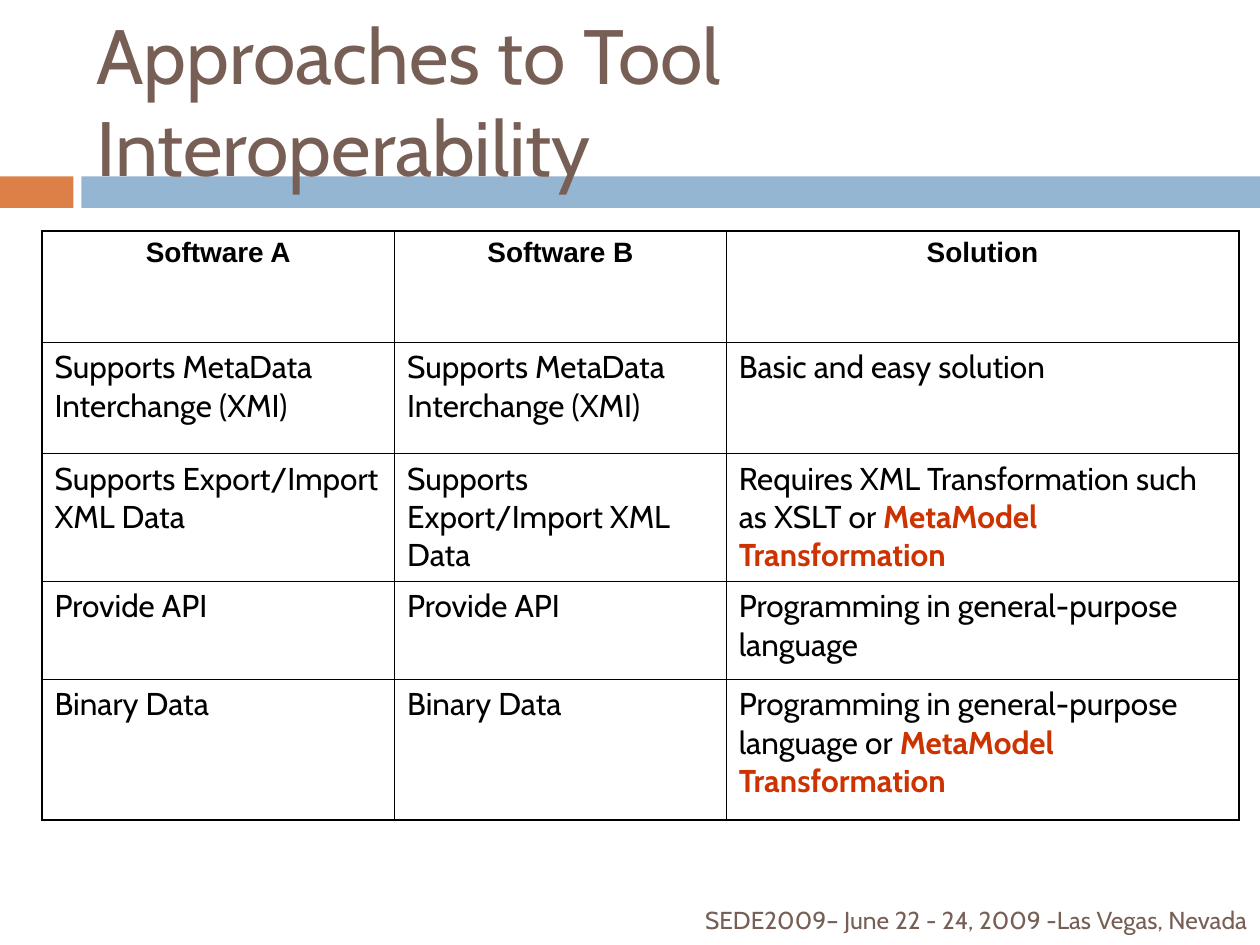
from dataclasses import dataclass

from lxml import etree
from pptx import Presentation, util as u
from pptx.dml import color
from pptx.enum import shapes, text
from pptx.oxml import ns

Pt = u.Pt


@dataclass(frozen=True)
class Theme:
    """Colours, fonts, type sizes and line widths of the slide."""
    orange: str = "DD8047"
    blue: str = "94B6D2"
    brown: str = "775F55"
    black: str = "000000"
    red: str = "CC3300"
    body_font: str = "Cabin"
    head_font: str = "Arial"
    title_size: float = 44
    body_size: float = 18
    head_size: float = 16
    footer_size: float = 14
    outer_line: float = 1.08
    inner_line: float = 0.45


THEME = Theme()
KEY = "MetaModel Transformation"
XMI = "Supports MetaData Interchange (XMI)"
XML_DATA = "Supports Export/Import XML Data"
GENERAL = "Programming in general-purpose language"
ROWS = [
    ["Software A", "Software B", "Solution"],
    [XMI, XMI, "Basic and easy solution"],
    [XML_DATA, XML_DATA, f"Requires XML Transformation such as XSLT or {KEY}"],
    ["Provide API", "Provide API", GENERAL],
    ["Binary Data", "Binary Data", f"{GENERAL} or {KEY}"],
]
COL_WIDTHS = [201.5, 189.5, 293]
ROW_HEIGHTS = [63.5, 63.5, 73, 56, 80.5]


def style_run(r, font, size, rgb, bold=False):
    """Set the font of one run."""
    r.font.name, r.font.size, r.font.bold = font, Pt(size), bold
    r.font.color.rgb = color.RGBColor.from_string(rgb)


def add_bar(s, left, width, rgb):
    """Add one piece of the band below the title."""
    sp = s.shapes.add_shape(shapes.MSO_SHAPE.RECTANGLE,
                            Pt(left), Pt(100.8), Pt(width), Pt(18))
    sp.shadow.inherit = False
    sp.fill.solid()
    sp.fill.fore_color.rgb = color.RGBColor.from_string(rgb)
    sp.line.fill.background()


def add_label(s, box, content, size, align):
    """Add a brown, vertically centred text box."""
    tf = s.shapes.add_textbox(*map(Pt, box)).text_frame
    tf.word_wrap = True
    tf.vertical_anchor = text.MSO_ANCHOR.MIDDLE
    tf.text = content
    p = tf.paragraphs[0]
    p.alignment = align
    style_run(p.runs[0], THEME.body_font, size, THEME.brown)


def set_borders(cell, widths):
    """Draw the left, right, top and bottom borders of a cell."""
    props = cell._tc.get_or_add_tcPr()
    for side, width in zip("LRTB", widths):
        ln = etree.SubElement(props, ns.qn(f"a:ln{side}"), w=str(Pt(width)))
        fill = etree.SubElement(ln, ns.qn("a:solidFill"))
        etree.SubElement(fill, ns.qn("a:srgbClr"), val=THEME.black)


def fill_cell(cell, content, is_head):
    """Write a cell, with its key phrase in bold red."""
    p = cell.text_frame.paragraphs[0]
    plain, key, _ = content.partition(KEY)
    p.text = plain
    if is_head:
        p.alignment = text.PP_ALIGN.CENTER
        style_run(p.runs[0], THEME.head_font, THEME.head_size, THEME.black, True)
        return
    style_run(p.runs[0], THEME.body_font, THEME.body_size, THEME.black)
    if key:
        r = p.add_run()
        r.text = key
        style_run(r, THEME.body_font, THEME.body_size, THEME.red, True)


def add_comparison(s, left, top):
    """Add the bordered table of approaches."""
    n_rows, n_cols = len(ROWS), len(COL_WIDTHS)
    table = s.shapes.add_table(n_rows, n_cols, Pt(left), Pt(top),
                               Pt(sum(COL_WIDTHS)), Pt(sum(ROW_HEIGHTS))).table
    table.first_row = table.horz_banding = False
    for col, width in zip(table.columns, COL_WIDTHS):
        col.width = Pt(width)
    for i, (height, values) in enumerate(zip(ROW_HEIGHTS, ROWS)):
        table.rows[i].height = Pt(height)
        for j, content in enumerate(values):
            cell = table.cell(i, j)
            edges = (j == 0, j == n_cols - 1, i == 0, i == n_rows - 1)
            set_borders(cell, [THEME.outer_line if edge else THEME.inner_line
                               for edge in edges])
            cell.fill.background()
            fill_cell(cell, content, i == 0)


def main():
    """Build and save the slide."""
    prs = Presentation()
    prs.slide_width, prs.slide_height = Pt(720), Pt(540)
    s = prs.slides.add_slide(prs.slide_layouts[6])
    add_bar(s, 0, 42, THEME.orange)
    add_bar(s, 46.5, 673.5, THEME.blue)
    add_label(s, (48, 18, 642, 78), "Approaches to Tool Interoperability",
              THEME.title_size, text.PP_ALIGN.LEFT)
    add_label(s, (293, 511, 427, 29),
              "SEDE2009– June 22 - 24, 2009 -Las Vegas, Nevada",
              THEME.footer_size, text.PP_ALIGN.RIGHT)
    add_comparison(s, 24, 132)
    prs.save("out.pptx")


if __name__ == "__main__":
    main()
